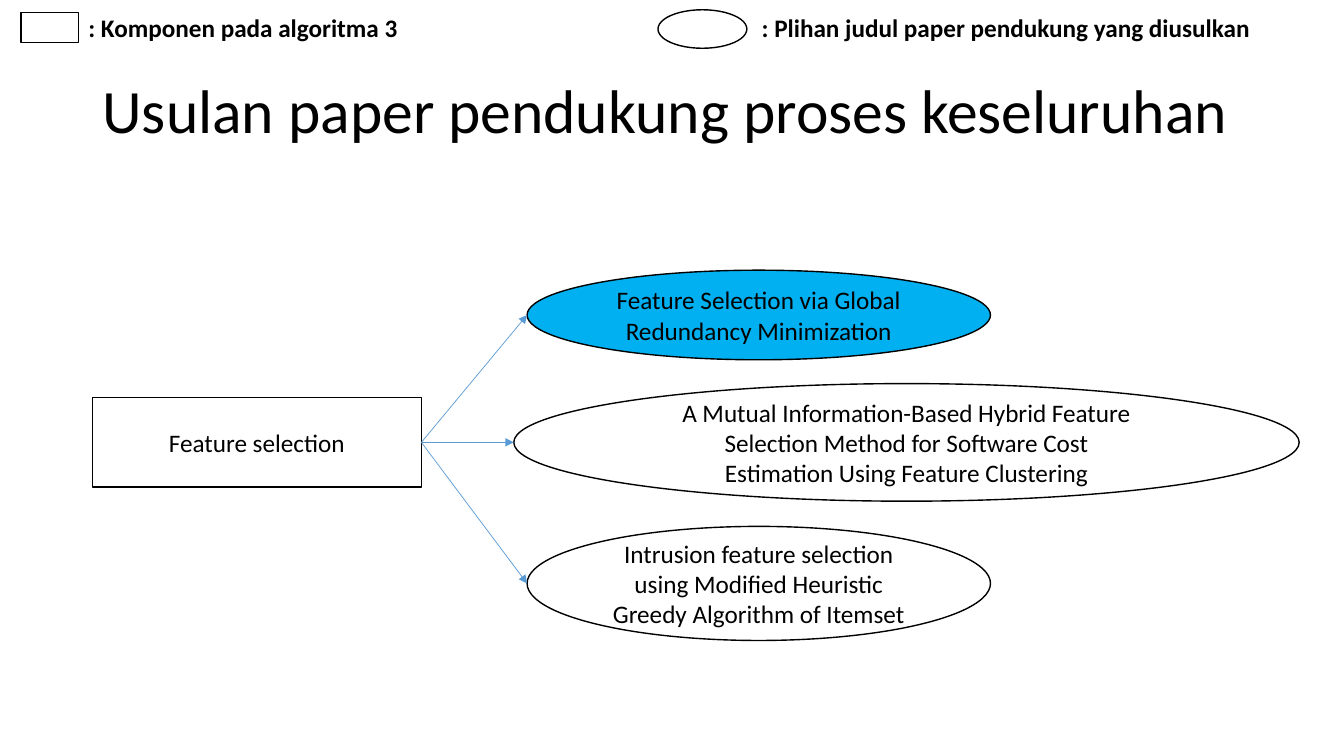
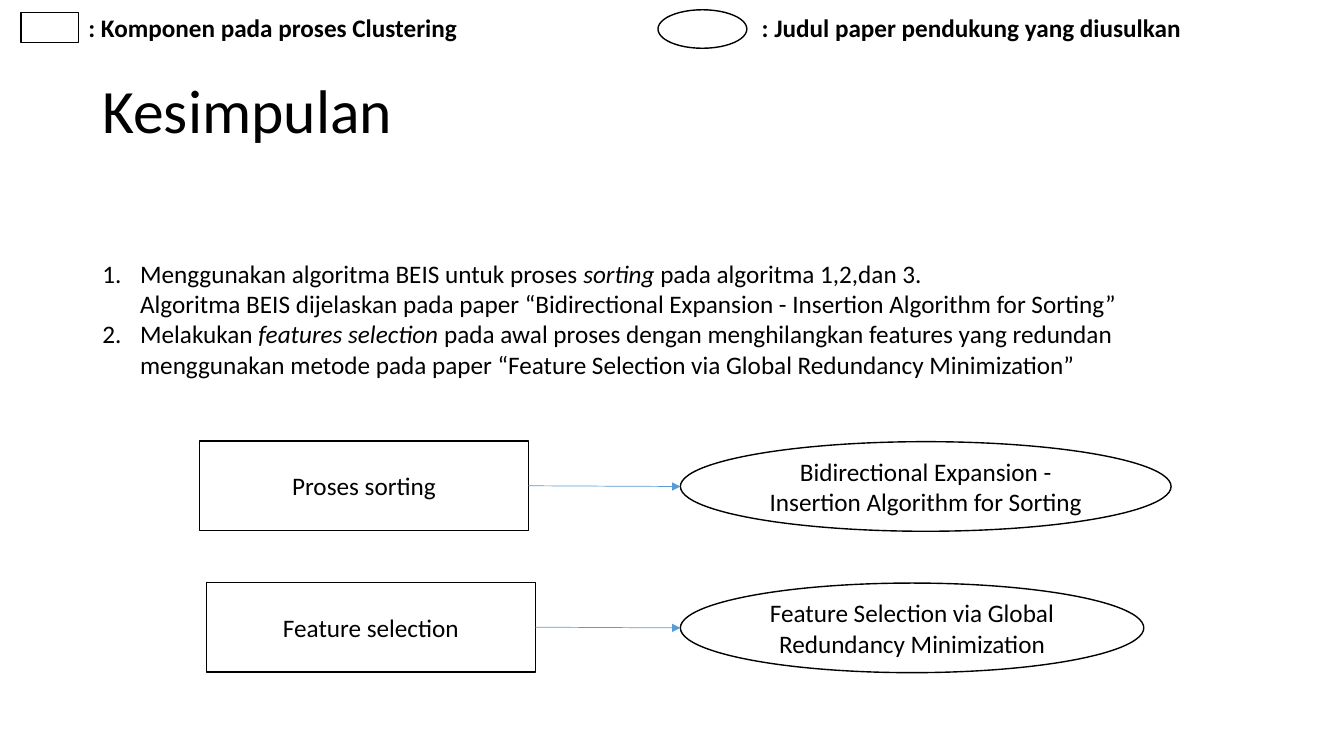
from lxml import etree
from pptx import Presentation
from pptx.dml.color import RGBColor
from pptx.enum.shapes import MSO_CONNECTOR, MSO_SHAPE
from pptx.enum.text import MSO_ANCHOR, MSO_AUTO_SIZE, PP_ALIGN
from pptx.oxml.ns import qn
from pptx.util import Pt

RECTANGLE, ELLIPSE = MSO_SHAPE.RECTANGLE, MSO_SHAPE.OVAL
STRAIGHT = MSO_CONNECTOR.STRAIGHT
LEFT, CENTER = PP_ALIGN.LEFT, PP_ALIGN.CENTER
TOP, MIDDLE = MSO_ANCHOR.TOP, MSO_ANCHOR.MIDDLE
FIXED_SIZE = MSO_AUTO_SIZE.NONE

FONT = "Calibri"
BLACK, WHITE, CHOSEN, ARROW = "000000", "FFFFFF", "00B0F0", "5B9BD5"
TITLE_ONLY = 5
RECTANGLE_RIGHT, ELLIPSE_LEFT = 3, 2
COMPONENT_SIZE = (235, 64)
GLOBAL_REDUNDANCY = "Feature Selection via Global Redundancy Minimization"


def color(hex_code):
    """Turn a hex string into a colour."""
    return RGBColor.from_string(hex_code)


def points(*lengths):
    """Turn numbers into lengths in points."""
    return [Pt(length) for length in lengths]


def write(frame, *paragraphs, size=18, bold=False, align=LEFT, anchor=TOP,
          line_spacing=None, number_indent=None):
    """Fill a frame with paragraphs, where asterisks enclose italic words."""
    frame.word_wrap = True
    frame.auto_size = FIXED_SIZE
    frame.vertical_anchor = anchor
    for index, text in enumerate(paragraphs):
        paragraph = frame.add_paragraph() if index else frame.paragraphs[0]
        paragraph.alignment = align
        paragraph.line_spacing = line_spacing
        if number_indent:
            number(paragraph, number_indent)
        for part, words in enumerate(text.split("*")):
            for line, line_text in enumerate(words.split("\n")):
                if line:
                    paragraph.add_line_break()
                run = paragraph.add_run()
                run.text = line_text
                run.font.name = FONT
                run.font.size = Pt(size)
                run.font.bold = bold
                run.font.italic = part % 2 == 1
                run.font.color.rgb = color(BLACK)


def number(paragraph, indent):
    """Number a paragraph with a hanging indent."""
    properties = paragraph._p.get_or_add_pPr()
    properties.set("marL", str(Pt(indent)))
    properties.set("indent", str(-Pt(indent)))
    etree.SubElement(properties, qn("a:buAutoNum"), type="arabicPeriod")


def add_label(slide, box, *paragraphs, **text_format):
    """Add a text box."""
    label = slide.shapes.add_textbox(*points(*box))
    write(label.text_frame, *paragraphs, **text_format)


def add_node(slide, outline, box, *paragraphs, fill=WHITE):
    """Add an outlined shape with centred text."""
    node = slide.shapes.add_shape(outline, *points(*box))
    node.shadow.inherit = False
    node.fill.solid()
    node.fill.fore_color.rgb = color(fill)
    node.line.color.rgb = color(BLACK)
    node.line.width = Pt(1)
    write(node.text_frame, *paragraphs, align=CENTER, anchor=MIDDLE)
    return node


def add_arrow(slide, component, paper):
    """Link the right of a component to the left of a paper."""
    arrow = slide.shapes.add_connector(STRAIGHT, 0, 0, 0, 0)
    arrow.begin_connect(component, RECTANGLE_RIGHT)
    arrow.end_connect(paper, ELLIPSE_LEFT)
    arrow.end_x = paper.left
    arrow.end_y = paper.top + paper.height // 2
    arrow.line.color.rgb = color(ARROW)
    arrow.line.width = Pt(0.5)
    etree.SubElement(arrow.line._get_or_add_ln(), qn("a:tailEnd"), type="triangle")
    etree.SubElement(arrow._element.spPr, qn("a:effectLst"))


def add_component(slide, left, top, name, papers):
    """Add a component with arrows to its (box, paragraphs, fill) papers."""
    component = add_node(slide, RECTANGLE, (left, top, *COMPONENT_SIZE), name)
    for box, paragraphs, fill in papers:
        paper = add_node(slide, ELLIPSE, box, *paragraphs, fill=fill)
        add_arrow(slide, component, paper)


def add_slide(deck, title_text, component_legend, paper_legend):
    """Add a slide with its title and legend."""
    slide = deck.slides.add_slide(deck.slide_layouts[TITLE_ONLY])
    title = slide.shapes.title
    title.left, title.top, title.width, title.height = points(66, 29, 828, 104)
    write(title.text_frame, title_text, size=44, anchor=MIDDLE, line_spacing=0.9)
    add_node(slide, RECTANGLE, (15, 9, 41, 21.5))
    add_label(slide, (56, 5, 400, 29), component_legend, bold=True)
    add_node(slide, ELLIPSE, (470, 7, 63.5, 27.5))
    add_label(slide, (537, 5, 400, 29), paper_legend, bold=True)
    return slide


def add_proposal(deck):
    """Add the slide with the candidate papers."""
    slide = add_slide(deck, "Usulan paper pendukung proses keseluruhan",
                      ": Komponen pada algoritma 3",
                      ": Plihan judul paper pendukung yang diusulkan")
    add_component(slide, 66, 284, "Feature selection", [
        ((376.5, 193, 331, 64), [GLOBAL_REDUNDANCY], CHOSEN),
        ((367, 274, 561, 84),
         ["A Mutual Information-Based Hybrid Feature Selection Method for Software Cost",
          "Estimation Using Feature Clustering"], WHITE),
        ((376.5, 376, 331, 81.5),
         ["Intrusion feature selection using Modified Heuristic "
          "Greedy Algorithm of Itemset"], WHITE),
    ])


def add_conclusion(deck):
    """Add the slide with the chosen papers."""
    slide = add_slide(deck, "Kesimpulan",
                      ": Komponen pada proses Clustering",
                      ": Judul paper pendukung yang diusulkan")
    add_label(
        slide, (66, 181, 840, 94),
        "Menggunakan algoritma BEIS untuk proses *sorting* pada algoritma 1,2,dan 3.\n"
        "Algoritma BEIS dijelaskan pada paper “Bidirectional Expansion - "
        "Insertion Algorithm for Sorting”",
        "Melakukan *features selection* pada awal proses dengan menghilangkan features "
        f"yang redundan menggunakan metode pada paper “{GLOBAL_REDUNDANCY}”",
        number_indent=27)
    add_component(slide, 142.5, 315, "Proses sorting", [
        ((486, 315.5, 350.5, 64),
         ["Bidirectional Expansion - Insertion Algorithm for Sorting"], WHITE)])
    add_component(slide, 147.5, 416, "Feature selection", [
        ((486, 416.5, 331, 64), [GLOBAL_REDUNDANCY], WHITE)])


def main():
    """Build and save the deck."""
    deck = Presentation()
    deck.slide_width, deck.slide_height = points(960, 540)
    add_proposal(deck)
    add_conclusion(deck)
    deck.save("out.pptx")


if __name__ == "__main__":
    main()
